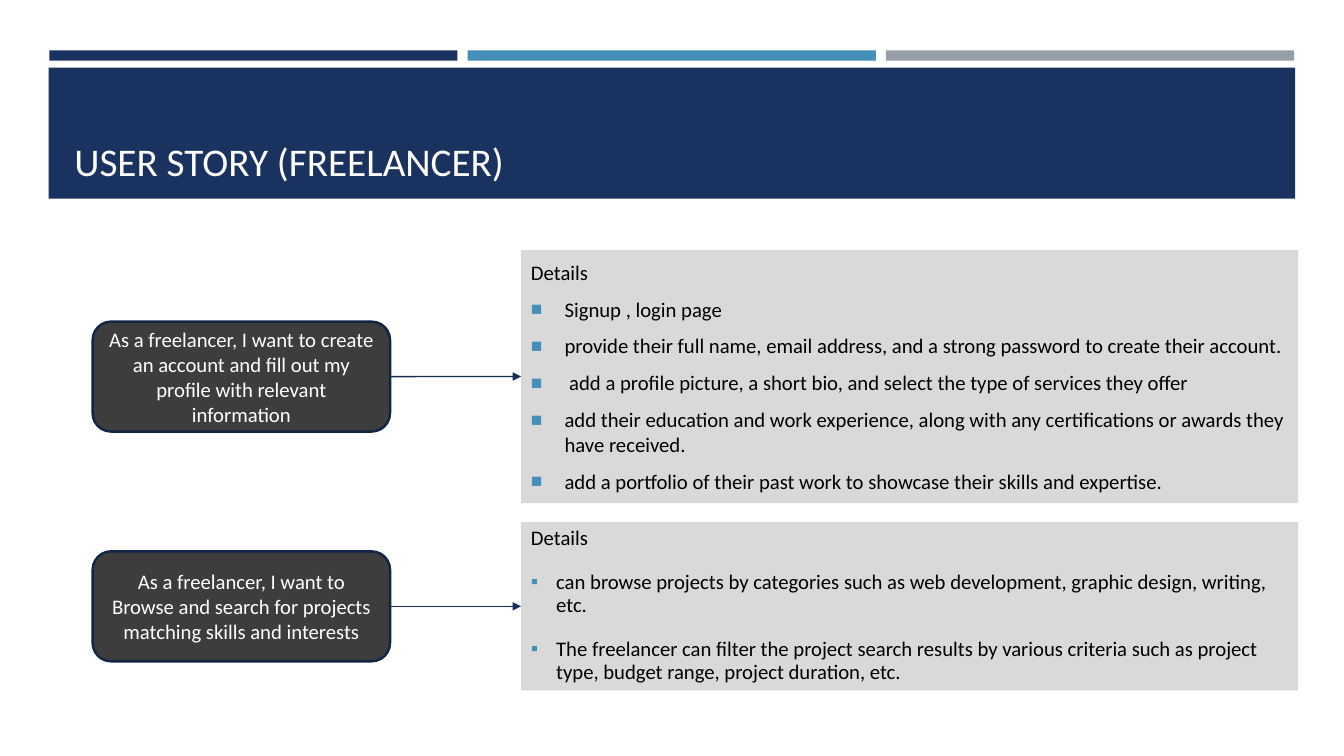
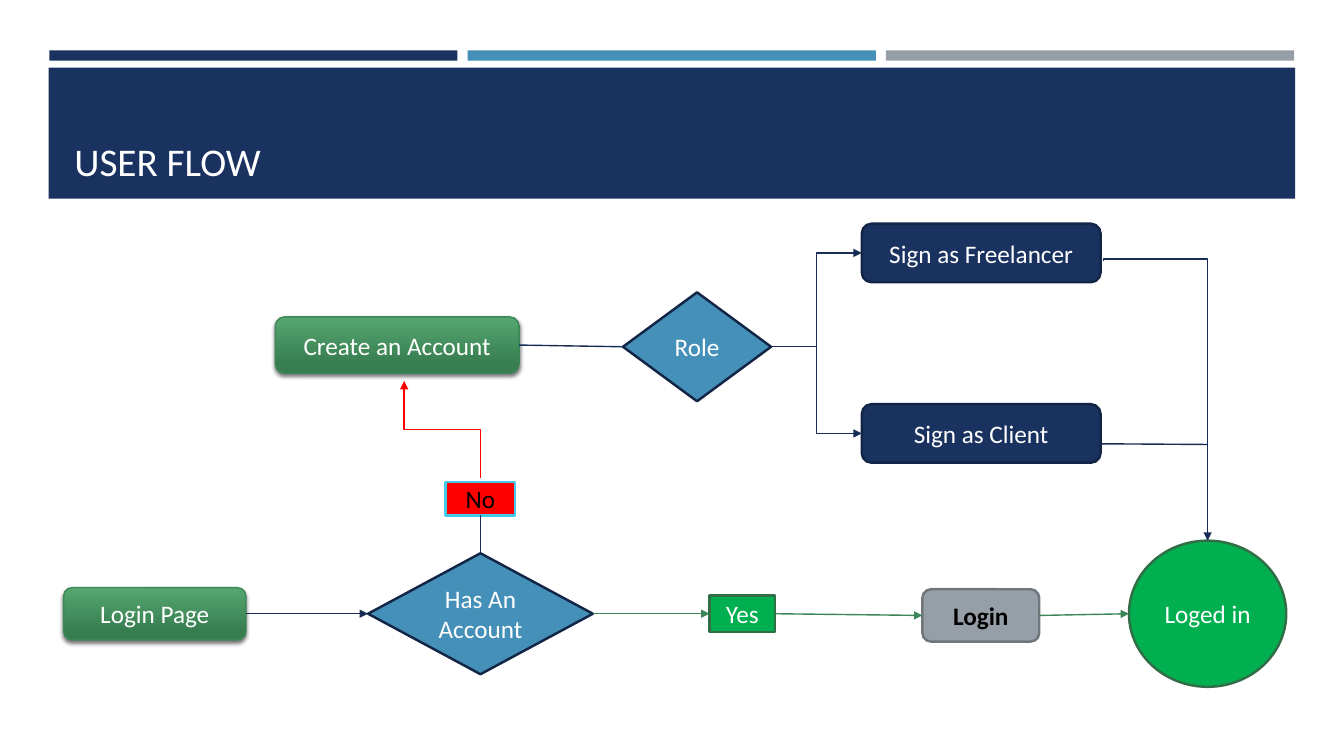
from lxml.etree import SubElement
from pptx import Presentation
from pptx.dml.color import RGBColor
from pptx.enum.shapes import MSO_CONNECTOR, MSO_SHAPE
from pptx.enum.text import MSO_ANCHOR, PP_ALIGN
from pptx.oxml.ns import qn
from pptx.util import Pt

COLORS = {
    "navy": "1A3260", "navy_edge": "132547", "link": "172D56",
    "blue": "4590B8", "gray": "969FA7", "gray_edge": "6F767C",
    "charcoal": "3D3D3D", "panel": "D9D9D9", "white": "FFFFFF", "black": "000000",
    "green": "00B050", "green_edge": "316E46", "green_link": "3B8656",
    "green_top": "55A770", "green_bottom": "377D50",
    "red": "FF0000", "cyan": "45CBE8",
}
FONT = "Calibri"
STORY_SIZE = 14.8
FLOW_SIZE = 18
TOP, LEFT, BOTTOM, RIGHT = range(4)


def color(name):
    return RGBColor.from_string(COLORS[name])


def add_node(parent, tag, **attributes):
    return SubElement(parent, qn(tag), attributes)


def style_text(paragraph, size, ink, bold=False):
    font = paragraph.font
    font.name, font.size, font.bold = FONT, Pt(size), bold
    font.color.rgb = color(ink)


def add_shape(page, kind, frame, fill, edge=None, width=1.75):
    box = page.shapes.add_shape(kind, *map(Pt, frame))
    box.shadow.inherit = False
    if fill == "gradient":
        box.fill.gradient()
        box.fill.gradient_angle = 270
        stops = (("green_top", 0), ("green_bottom", 0.84))
        for stop, (name, position) in zip(box.fill.gradient_stops, stops):
            stop.color.rgb = color(name)
            stop.position = position
    else:
        box.fill.solid()
        box.fill.fore_color.rgb = color(fill)
    if edge:
        box.line.color.rgb = color(edge)
        box.line.width = Pt(width)
    else:
        box.line.fill.background()
    return box


def add_node_box(page, kind, center, size, text, fill, edge, ink="white",
                 text_size=FLOW_SIZE, bold=False, width=1.75):
    frame = (center[0] - size[0] / 2, center[1] - size[1] / 2, *size)
    box = add_shape(page, kind, frame, fill, edge, width)
    box.text_frame.vertical_anchor = MSO_ANCHOR.MIDDLE
    paragraph = box.text_frame.paragraphs[0]
    paragraph.text = text
    paragraph.alignment = PP_ALIGN.CENTER
    style_text(paragraph, text_size, ink, bold)
    return box


def add_raised_box(page, center, size, text):
    box = add_node_box(page, MSO_SHAPE.ROUNDED_RECTANGLE, center, size, text,
                       "gradient", "green_link", width=1)
    effects = box._element.spPr.find(qn("a:effectLst"))
    shadow = add_node(effects, "a:outerShdw", blurRad=str(Pt(3)), dist=str(Pt(2)),
                      dir="5400000", rotWithShape="0")
    shade = add_node(shadow, "a:srgbClr", val=COLORS["black"])
    add_node(shade, "a:alpha", val="55000")
    return box


def add_link(page, start, end, ink="link", arrow=True, kind=MSO_CONNECTOR.STRAIGHT):
    link = page.shapes.add_connector(kind, *map(Pt, (*start, *end)))
    link.line.color.rgb = color(ink)
    link.line.width = Pt(1)
    properties = link._element.spPr
    if arrow:
        add_node(properties.find(qn("a:ln")), "a:tailEnd", type="triangle")
    add_node(properties, "a:effectLst")
    return link


def join(page, source, source_side, target, target_side, **style):
    link = add_link(page, (0, 0), (0, 0), **style)
    link.begin_connect(source, source_side)
    link.end_connect(target, target_side)


def add_vertical_elbow(page, start, end, ink="link", bend=0.5):
    middle = [(a + b) / 2 for a, b in zip(start, end)]
    half = ((start[1] - end[1]) / 2, (end[0] - start[0]) / 2)
    link = add_link(page, [m - h for m, h in zip(middle, half)],
                    [m + h for m, h in zip(middle, half)], ink, kind=MSO_CONNECTOR.ELBOW)
    properties = link._element.spPr
    properties.find(qn("a:xfrm")).set("rot", str(270 * 60000))
    geometry = properties.find(qn("a:prstGeom"))
    guides = geometry.find(qn("a:avLst"))
    if guides is None:
        guides = add_node(geometry, "a:avLst")
    add_node(guides, "a:gd", name="adj1", fmla=f"val {round(bend * 100000)}")


def add_bullet(paragraph, mark, indent, percent):
    properties = paragraph._p.get_or_add_pPr()
    properties.set("marL", str(Pt(indent)))
    properties.set("indent", str(-Pt(indent)))
    add_node(add_node(properties, "a:buClr"), "a:srgbClr", val=COLORS["blue"])
    add_node(properties, "a:buSzPct", val=str(percent * 1000))
    add_node(properties, "a:buFont", typeface="Arial")
    add_node(properties, "a:buChar", char=mark)


def add_details(page, frame, items, mark, indent, percent, anchor, before, spacing):
    box = add_shape(page, MSO_SHAPE.RECTANGLE, frame, "panel")
    text = box.text_frame
    text.vertical_anchor = anchor
    for index, item in enumerate(["Details", *items]):
        paragraph = text.add_paragraph() if index else text.paragraphs[0]
        paragraph.text = item
        paragraph.alignment = PP_ALIGN.LEFT
        paragraph.line_spacing = spacing
        paragraph.space_after = Pt(6)
        if index:
            paragraph.space_before = Pt(before)
            add_bullet(paragraph, mark, indent, percent)
        style_text(paragraph, STORY_SIZE, "black")
    return box


def add_story(page, middle, text, details):
    story = add_node_box(page, MSO_SHAPE.ROUNDED_RECTANGLE, (172.4, middle), (212.4, 78.5),
                         text, "charcoal", "navy_edge", text_size=STORY_SIZE)
    join(page, story, RIGHT, details, LEFT)


def add_page(deck, title):
    page = deck.slides.add_slide(deck.slide_layouts[6])
    for index, name in enumerate(("navy", "blue", "gray")):
        add_shape(page, MSO_SHAPE.RECTANGLE, (35.2 + 298.8 * index, 36, 291.6, 7.4), name)
    add_shape(page, MSO_SHAPE.RECTANGLE, (34.8, 48.4, 890.4, 93.6), "navy")
    text = page.shapes.add_textbox(*map(Pt, (46.1, 55.4, 868.3, 79.9))).text_frame
    text.word_wrap = True
    text.vertical_anchor = MSO_ANCHOR.BOTTOM
    text.paragraphs[0].text = title
    style_text(text.paragraphs[0], 28, "white")
    return page


def build_story_page(deck):
    page = add_page(deck, "USER STORY (FREELANCER)")
    account = add_details(page, (372.2, 178.6, 555.1, 180.7), [
        "Signup , login page",
        "provide their full name, email address, and a strong password to create their account.",
        " add a profile picture, a short bio, and select the type of services they offer",
        "add their education and work experience, along with any certifications or awards "
        "they have received.",
        "add a portfolio of their past work to showcase their skills and expertise.",
    ], "■", 24, 92, MSO_ANCHOR.MIDDLE, 2.6, 1.0)
    add_story(page, 269, "As a freelancer, I want to create an account and fill out my "
              "profile with relevant information", account)
    search = add_details(page, (372.2, 373, 555.1, 120.2), [
        "can browse projects by categories such as web development, graphic design, "
        "writing, etc.",
        "The freelancer can filter the project search results by various criteria such as "
        "project type, budget range, project duration, etc.",
    ], "▪", 18, 100, MSO_ANCHOR.TOP, 10, 0.9)
    add_story(page, 433.1, "As a freelancer, I want to Browse and search for projects "
              "matching skills and interests", search)


def build_flow_page(deck):
    page = add_page(deck, "USER FLOW")
    row = 438.4
    rounded, diamond = MSO_SHAPE.ROUNDED_RECTANGLE, MSO_SHAPE.DIAMOND
    login_page = add_raised_box(page, (110.6, row), (130.3, 37.4), "Login Page")
    create = add_raised_box(page, (283.7, 246.5), (174.2, 40.3), "Create an Account")
    has_account = add_node_box(page, diamond, (343.2, row), (160.6, 86.4),
                               "Has An Account", "blue", "navy_edge")
    role = add_node_box(page, diamond, (497.9, 247.7), (105.8, 77.8),
                        "Role", "blue", "navy_edge")
    no = add_node_box(page, MSO_SHAPE.RECTANGLE, (343.2, 356.2), (49.7, 23.8),
                      "No", "red", "cyan", "black")
    yes = add_node_box(page, MSO_SHAPE.RECTANGLE, (530.2, row), (46.8, 25.9),
                       "Yes", "green", "green_edge")
    login = add_node_box(page, rounded, (700.6, 439.6), (83.5, 37.4),
                         "Login", "gray", "gray_edge", "black", bold=True)
    add_node_box(page, MSO_SHAPE.OVAL, (862.6, row), (112.3, 104.4),
                 "Loged in", "green", "green_edge")
    freelancer, client = [
        add_node_box(page, rounded, (700.9, middle), (170.6, 41.8), text, "navy", "navy_edge")
        for text, middle in (("Sign as Freelancer", 180.7), ("Sign as Client", 309.6))
    ]

    join(page, login_page, RIGHT, has_account, LEFT)
    join(page, has_account, RIGHT, yes, LEFT, ink="green_link")
    join(page, yes, RIGHT, login, LEFT, ink="green_link")
    add_link(page, (742.3, 439.6), (806.4, row), "green_link")
    join(page, no, BOTTOM, has_account, TOP, arrow=False)
    add_vertical_elbow(page, (343.2, 341.3), (288.7, 272.2), "red")
    join(page, create, RIGHT, role, LEFT, arrow=False)
    for signup in (freelancer, client):
        join(page, role, RIGHT, signup, LEFT, kind=MSO_CONNECTOR.ELBOW)
    add_vertical_elbow(page, (788.4, 186.5), (862.6, 386.2), bend=-0.007)
    add_link(page, (786.2, 317), (862.6, 317.5), arrow=False)


def main():
    deck = Presentation()
    deck.slide_width, deck.slide_height = Pt(960), Pt(540)
    build_story_page(deck)
    build_flow_page(deck)
    deck.save("out.pptx")


if __name__ == "__main__":
    main()
